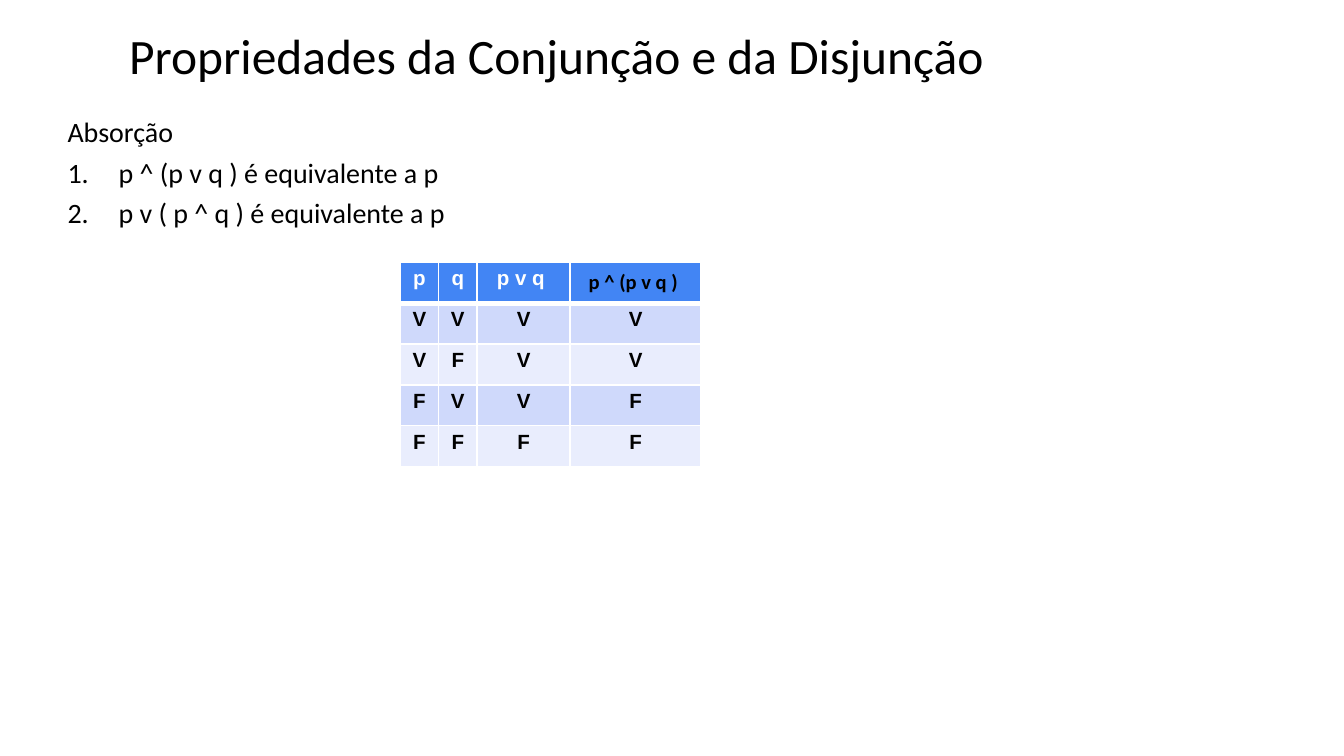
"""Build a slide on the absorption laws with a truth table."""
from dataclasses import dataclass

from lxml import etree
from pptx import Presentation
from pptx import util as u
from pptx.dml.color import RGBColor
from pptx.enum import text
from pptx.oxml import ns

COLORS = {
    "ink": "000000",
    "white": "FFFFFF",
    "header": "4285F4",
    "odd_row": "CFD9FB",
    "even_row": "E9EDFD",
}
LAWS = ["p ^ (p v q ) é equivalente a p", "p v ( p ^ q ) é equivalente a p"]
TRUTH_ROWS = ["VVVV", "VFVV", "FVVF", "FFFF"]
ROW_HEIGHT = 21.9
LAW_INDENT = 27.4


@dataclass(frozen=True)
class Frame:
    left: float
    top: float
    width: float
    height: float


@dataclass(frozen=True)
class Column:
    heading: str
    width: float
    font: str = "Arial"
    color: str = "white"
    anchor: text.MSO_ANCHOR = text.MSO_ANCHOR.TOP


COLUMNS = [
    Column("p", 20.6),
    Column("q", 20.6),
    Column("p v q ", 49.9),
    Column("p ^ (p v q ) ", 70.2, "Calibri", "ink", text.MSO_ANCHOR.MIDDLE),
]


def rgb(name: str) -> RGBColor:
    return RGBColor.from_string(COLORS[name])


def style(paragraph, size: float, font: str, color: str, bold: bool = False) -> None:
    paragraph.font.size = u.Pt(size)
    paragraph.font.name = font
    paragraph.font.bold = bold
    paragraph.font.color.rgb = rgb(color)


def set_insets(target) -> None:
    target.margin_left = target.margin_right = u.Pt(5.2)
    target.margin_top = target.margin_bottom = u.Pt(2.6)


def place(shape, frame: Frame):
    shape.left, shape.top = u.Pt(frame.left), u.Pt(frame.top)
    shape.width, shape.height = u.Pt(frame.width), u.Pt(frame.height)
    text_frame = shape.text_frame
    set_insets(text_frame)
    text_frame.word_wrap = True
    text_frame.auto_size = text.MSO_AUTO_SIZE.NONE
    text_frame.vertical_anchor = text.MSO_ANCHOR.TOP
    return text_frame


def set_bullet(paragraph, numbered: bool) -> None:
    properties = paragraph._p.get_or_add_pPr()
    indent = u.Pt(LAW_INDENT) if numbered else 0
    properties.set("marL", str(indent))
    properties.set("indent", str(-indent))
    if numbered:
        bullet_color = etree.SubElement(properties, ns.qn("a:buClr"))
        etree.SubElement(bullet_color, ns.qn("a:srgbClr"), val=COLORS["ink"])
        etree.SubElement(properties, ns.qn("a:buFont"), typeface="Calibri")
        etree.SubElement(properties, ns.qn("a:buAutoNum"), type="arabicPeriod")
    else:
        etree.SubElement(properties, ns.qn("a:buNone"))


def set_borders(cell, bottom: float, top: float) -> None:
    properties = cell._tc.get_or_add_tcPr()
    for side, width in {"L": 1, "R": 1, "T": top, "B": bottom}.items():
        line = etree.SubElement(properties, ns.qn(f"a:ln{side}"), w=str(u.Pt(width)))
        fill = etree.SubElement(line, ns.qn("a:solidFill"))
        etree.SubElement(fill, ns.qn("a:srgbClr"), val=COLORS["white"])


def fill_cell(cell, content: str, fill: str, font: str, color: str) -> None:
    set_insets(cell)
    cell.fill.solid()
    cell.fill.fore_color.rgb = rgb(fill)
    cell.text = content
    paragraph = cell.text_frame.paragraphs[0]
    paragraph.alignment = text.PP_ALIGN.CENTER
    style(paragraph, 11, font, color, bold=True)


def add_title(slide) -> None:
    text_frame = place(slide.shapes.title, Frame(64, 10.8, 507.6, 38.2))
    text_frame.text = "Propriedades da Conjunção e da Disjunção"
    paragraph = text_frame.paragraphs[0]
    paragraph.alignment = text.PP_ALIGN.LEFT
    style(paragraph, 26.5, "Calibri", "ink")


def add_laws(slide) -> None:
    text_frame = place(slide.placeholders[1], Frame(31, 55.4, 628.6, 28.8))
    text_frame.text = "\n".join(["Absorção", *LAWS])
    for index, paragraph in enumerate(text_frame.paragraphs):
        set_bullet(paragraph, numbered=index > 0)
        paragraph.alignment = text.PP_ALIGN.JUSTIFY
        paragraph.line_spacing = 1.2
        paragraph.space_before = u.Pt(0)
        style(paragraph, 15, "Calibri", "ink")


def add_truth_table(slide) -> None:
    row_count = len(TRUTH_ROWS) + 1
    width = sum(column.width for column in COLUMNS)
    table = slide.shapes.add_table(
        row_count, len(COLUMNS), u.Pt(214.4), u.Pt(140.5),
        u.Pt(width), u.Pt(ROW_HEIGHT * row_count),
    ).table
    for row in table.rows:
        row.height = u.Pt(ROW_HEIGHT)
    for index, column in enumerate(COLUMNS):
        table.columns[index].width = u.Pt(column.width)
        heading = table.cell(0, index)
        set_borders(heading, bottom=3, top=1)
        fill_cell(heading, column.heading, "header", column.font, column.color)
        heading.vertical_anchor = column.anchor
        for row_index, values in enumerate(TRUTH_ROWS, start=1):
            cell = table.cell(row_index, index)
            set_borders(cell, bottom=1, top=3 if row_index == 1 else 1)
            fill = "odd_row" if row_index % 2 else "even_row"
            fill_cell(cell, values[index], fill, "Arial", "ink")


def main() -> None:
    presentation = Presentation()
    presentation.slide_width, presentation.slide_height = u.Pt(720), u.Pt(405)
    slide = presentation.slides.add_slide(presentation.slide_layouts[1])
    add_title(slide)
    add_laws(slide)
    add_truth_table(slide)
    presentation.save("out.pptx")


if __name__ == "__main__":
    main()
